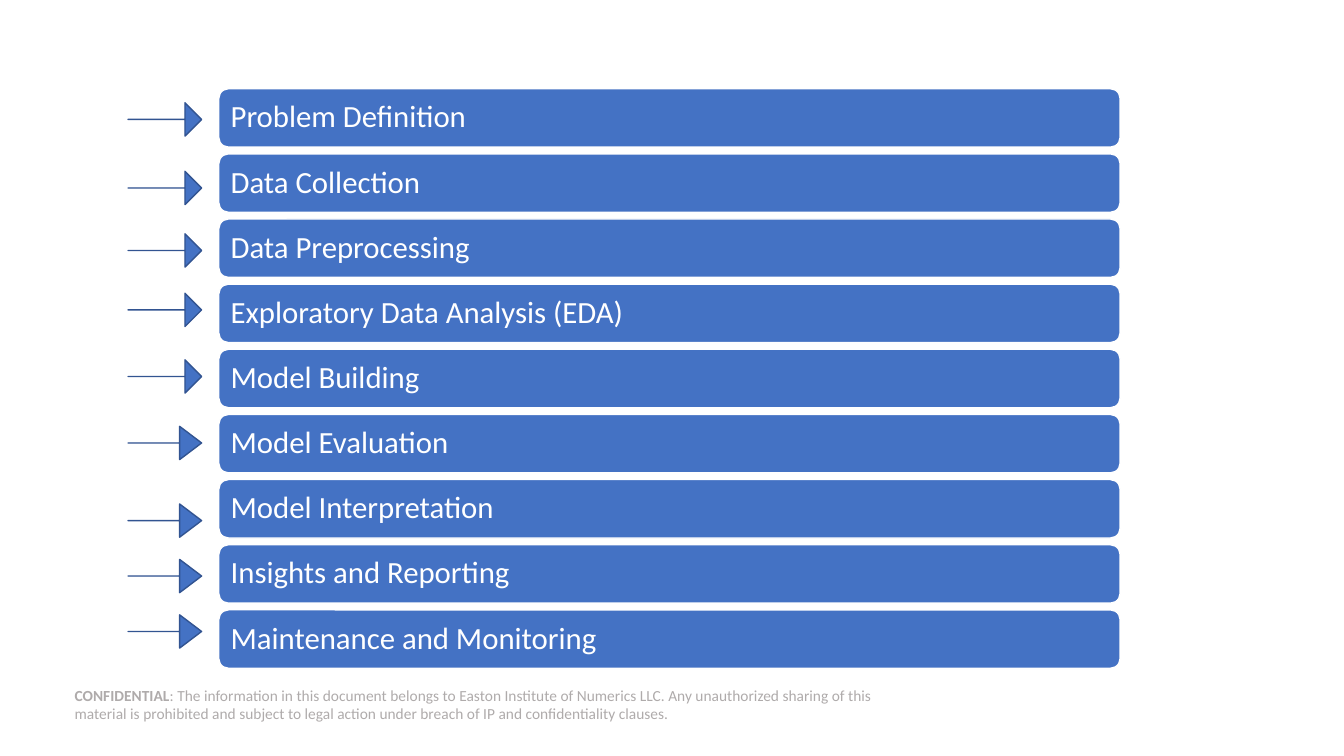
"""Build a slide listing the nine steps of a data analysis project."""
import pptx
import pptx.util
import pptx.dml.color
import pptx.enum.shapes
import pptx.enum.text

Inches = pptx.util.Inches
Pt = pptx.util.Pt
SHAPES = pptx.enum.shapes.MSO_SHAPE
BLUE = pptx.dml.color.RGBColor(0x44, 0x72, 0xC4)
DARK_BLUE = pptx.dml.color.RGBColor(0x32, 0x54, 0x91)
WHITE = pptx.dml.color.RGBColor(0xFF, 0xFF, 0xFF)
GREY = pptx.dml.color.RGBColor(0xAF, 0xAB, 0xAB)

FIRST_TOP, LAST_TOP = 0.88, 6.05
STEPS = [
    ("Problem Definition", 1.02, 0.5),
    ("Data Collection", 1.7, 0.5),
    ("Data Preprocessing", 2.32, 0.5),
    ("Exploratory Data Analysis (EDA)", 2.91, 0.5),
    ("Model Building", 3.57, 0.5),
    ("Model Evaluation", 4.23, 0.66),
    ("Model Interpretation", 5, 0.66),
    ("Insights and Reporting", 5.55, 0.66),
    ("Maintenance and Monitoring", 6.1, 0.66),
]
ROW = (LAST_TOP - FIRST_TOP) / (len(STEPS) - 1)
NOTICE = [
    ("CONFIDENTIAL", True),
    (": The information in this document belongs to Easton Institute of Numerics LLC. "
     "Any unauthorized sharing of this material is prohibited and subject to legal "
     "action under breach of IP and confidentiality clauses.", False),
]


def add_block(kind, box, line_color):
    """Add a blue preset shape with a one-point outline."""
    shape = slide.shapes.add_shape(kind, *map(Inches, box))
    shape.shadow.inherit = False
    shape.fill.solid()
    shape.fill.fore_color.rgb = BLUE
    shape.line.color.rgb = line_color
    shape.line.width = Pt(1)
    return shape


def add_text(frame, runs, inset, size, color):
    """Write runs of text into a frame, left aligned and centred vertically."""
    frame_format = {
        "word_wrap": True,
        "vertical_anchor": pptx.enum.text.MSO_ANCHOR.MIDDLE,
        "margin_left": Inches(inset), "margin_right": Inches(inset),
        "margin_top": Inches(inset), "margin_bottom": Inches(inset),
    }
    for name, value in frame_format.items():
        setattr(frame, name, value)
    paragraph = frame.paragraphs[0]
    paragraph.alignment = pptx.enum.text.PP_ALIGN.LEFT
    for text, bold in runs:
        run = paragraph.add_run()
        run.text = text
        font_format = {"name": "Calibri", "size": Pt(size), "bold": bold}
        for name, value in font_format.items():
            setattr(run.font, name, value)
        run.font.color.rgb = color
    return paragraph


presentation = pptx.Presentation()
presentation.slide_width = Inches(13.33)
presentation.slide_height = Inches(7.5)
slide = presentation.slides.add_slide(presentation.slide_layouts.get_by_name("Blank"))

notice = slide.shapes.add_textbox(*map(Inches, (0.74, 6.79, 8.17, 0.4)))
add_text(notice.text_frame, NOTICE, 0, 11, GREY)

for index, (step, arrow_top, head_length) in enumerate(STEPS):
    bar_box = (2.17, FIRST_TOP + index * ROW, 8.94, 0.58)
    bar = add_block(SHAPES.ROUNDED_RECTANGLE, bar_box, WHITE)
    label = add_text(bar.text_frame, [(step, False)], 0.09, 22, WHITE)
    label.line_spacing = 0.9

    arrow = add_block(SHAPES.RIGHT_ARROW, (1.27, arrow_top, 0.73, 0.33), DARK_BLUE)
    arrow.adjustments[0] = 0
    arrow.adjustments[1] = head_length

presentation.save("out.pptx")
